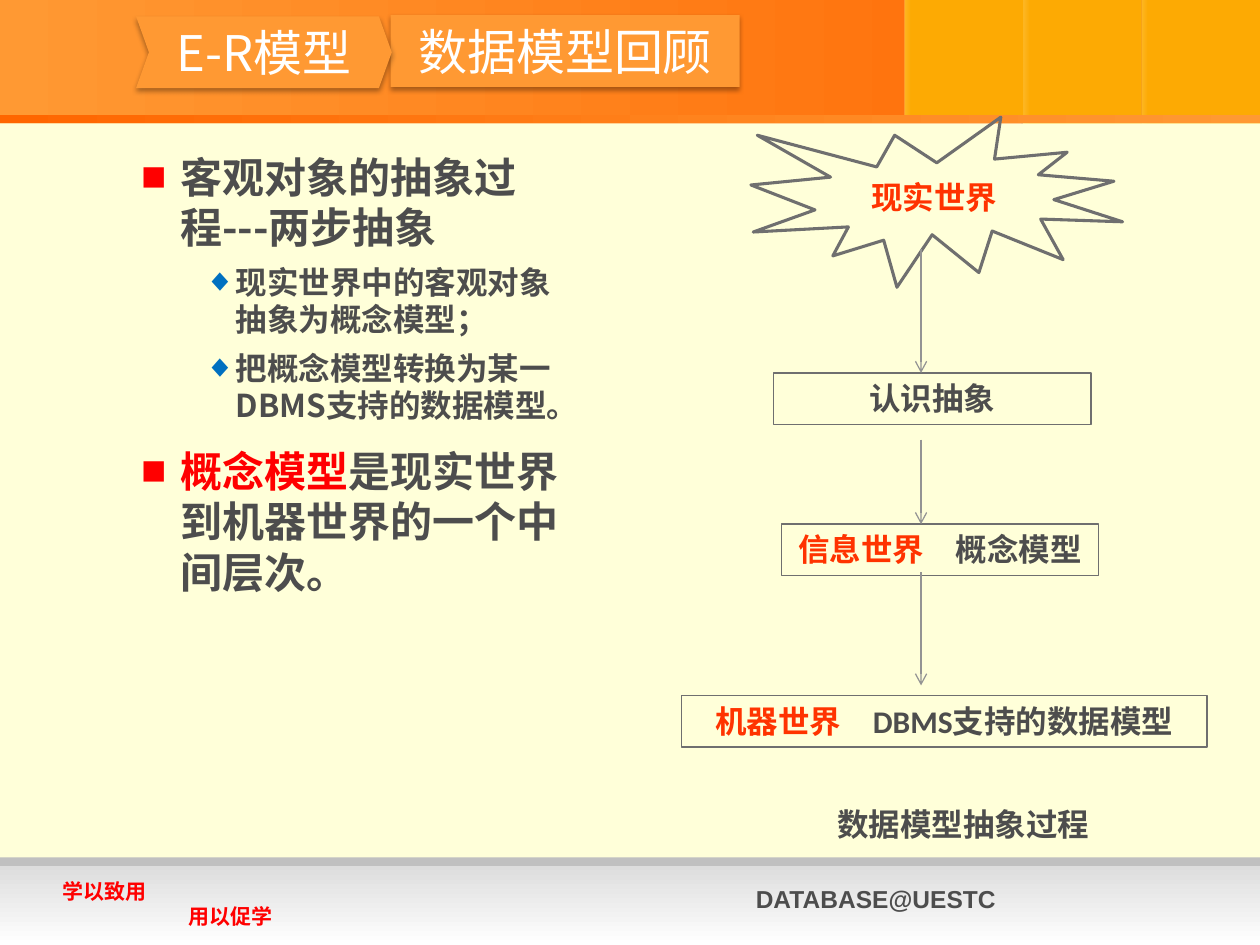
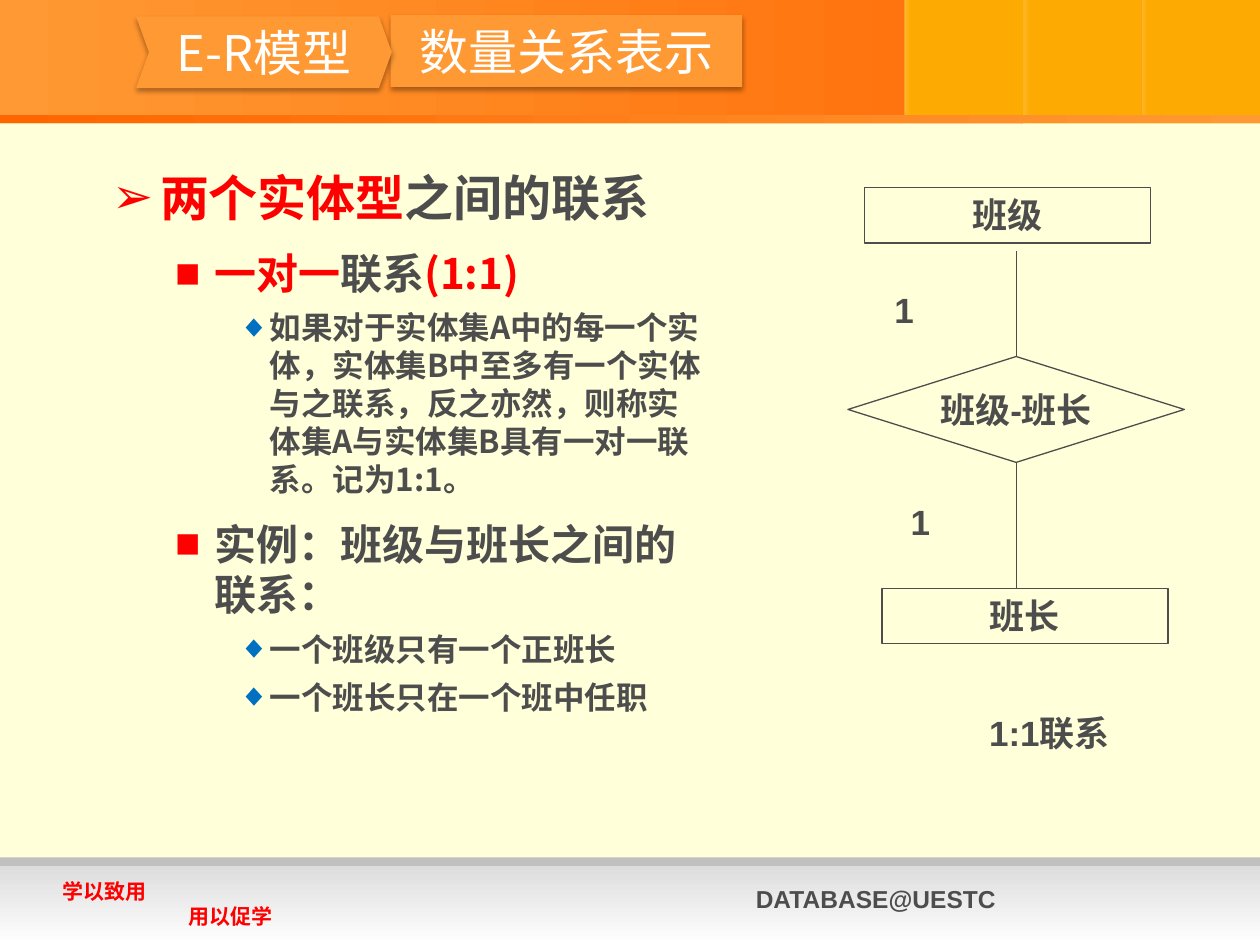
from dataclasses import dataclass
from typing import NamedTuple, Optional

from lxml.etree import SubElement
from pptx import Presentation
from pptx.dml.color import RGBColor
from pptx.enum.shapes import MSO_CONNECTOR, MSO_SHAPE as Shape
from pptx.enum.text import MSO_ANCHOR as Anchor, MSO_AUTO_SIZE, PP_ALIGN as Align
from pptx.oxml import parse_xml
from pptx.oxml.ns import nsdecls, qn
from pptx.util import Inches, Pt

COLORS = {
    "page": "FFFFD9", "orange": "FF9933", "deep": "FF6600", "gold": "FDAA03",
    "rust": "D25500", "brown": "612700", "silver": "C0C0C0", "mist": "DDDDDD",
    "white": "FFFFFF", "text": "4D4D4D", "red": "FF0000", "flame": "FF3300",
    "blue": "0070C0", "outline": "6F6F6F", "arrow": "939393",
}
NOTO = "Noto Sans CJK SC"
COLUMNS, ROWS = 100, 75  # the slide is a grid of square cells
CELL = Inches(10) // COLUMNS


class Area(NamedTuple):
    """Left, top, width and height in grid cells."""
    left: float
    top: float
    width: float
    height: float

    def lengths(self) -> list[int]:
        return [round(cells * CELL) for cells in self]


class Span(NamedTuple):
    text: str
    color: Optional[str] = None


class Stop(NamedTuple):
    color: str
    alpha: int = 100


class Bullet(NamedTuple):
    mark: str
    color: str
    margin: float
    hanging: float
    size: int
    before: int


class Item(NamedTuple):
    level: int
    spans: list[Span]


@dataclass(frozen=True)
class Style:
    size: int
    font: str = NOTO
    color: str = "text"
    bold: bool = True
    align: Align = Align.CENTER


BULLETS = [
    Bullet("➢", "red", 0.38, 0.38, 28, 12),
    Bullet("■", "red", 0.81, 0.31, 24, 12),
    Bullet("◆", "blue", 1.25, 0.25, 18, 6),
]
TITLE = Style(28, color="white", bold=False)
STAGE = Style(18, "Calibri")
ENTITY = Style(20, "Arial")
COUNT = Style(20, "Arial", align=Align.LEFT)
FOOTER = Style(14, "Arial", align=Align.LEFT)
MOTTO = Style(12, "Arial", "red", align=Align.LEFT)


def rgb(name: str) -> RGBColor:
    return RGBColor.from_string(COLORS[name])


# Text
def write(para, spans: list[Span], style: Style) -> None:
    para.alignment = style.align
    font = para.font
    font.size, font.bold = Pt(style.size), style.bold
    font.color.rgb = rgb(style.color)
    font.name = style.font
    SubElement(font._element, qn("a:ea"), typeface=NOTO)
    for span in spans:
        run = para.add_run()
        run.text = span.text
        if span.color:
            run.font.color.rgb = rgb(span.color)


def write_box(box, spans: list[Span], style: Style,
              anchor: Anchor = Anchor.TOP, wrap: bool = True) -> None:
    frame = box.text_frame
    frame.word_wrap, frame.vertical_anchor = wrap, anchor
    write(frame.paragraphs[0], spans, style)


def add_label(slide, area: Area, text: str, style: Style):
    box = slide.shapes.add_textbox(*area.lengths())
    write_box(box, [Span(text)], style)
    return box


def fill_body(slide, area: Area, items: list[Item]) -> None:
    body = slide.placeholders[1]
    body.left, body.top, body.width, body.height = area.lengths()
    frame = body.text_frame
    frame.auto_size = MSO_AUTO_SIZE.NONE
    for number, item in enumerate(items):
        para = frame.add_paragraph() if number else frame.paragraphs[0]
        bullet = BULLETS[item.level]
        para.level = item.level
        props = para._p.get_or_add_pPr()
        props.set("marL", str(Inches(bullet.margin)))
        props.set("indent", str(-Inches(bullet.hanging)))
        tint = SubElement(props, qn("a:buClr"))
        SubElement(tint, qn("a:srgbClr"), val=COLORS[bullet.color])
        SubElement(props, qn("a:buChar"), char=bullet.mark)
        para.space_before = Pt(bullet.before if number else 0)
        write(para, item.spans, Style(bullet.size, align=Align.LEFT))


# Shapes and lines
def add_shape(slide, kind: Shape, area: Area, fill: Optional[str] = None,
              line: Optional[str] = None, weight: float = 0.75):
    shape = slide.shapes.add_shape(kind, *area.lengths())
    shape.shadow.inherit = False
    if fill:
        shape.fill.solid()
        shape.fill.fore_color.rgb = rgb(fill)
    else:
        shape.fill.background()
    if line:
        shape.line.color.rgb = rgb(line)
        shape.line.width = Pt(weight)
    else:
        shape.line.fill.background()
    return shape


def add_gradient(slide, area: Area, first: Stop, last: Stop, angle: int = 0) -> None:
    shape = add_shape(slide, Shape.RECTANGLE, area)
    stops = "".join(
        f'<a:gs pos="{place}"><a:srgbClr val="{COLORS[stop.color]}">'
        f'<a:alpha val="{stop.alpha * 1000}"/></a:srgbClr></a:gs>'
        for place, stop in ((0, first), (100000, last)))
    props = shape._element.spPr
    props.replace(props.find(qn("a:noFill")), parse_xml(
        f'<a:gradFill {nsdecls("a")} rotWithShape="1"><a:gsLst>{stops}</a:gsLst>'
        f'<a:lin ang="{angle * 60000}" scaled="0"/></a:gradFill>'))


def add_line(slide, start: tuple, end: tuple, color: str, arrow: bool = False):
    points = [round(cells * CELL) for cells in (*start, *end)]
    line = slide.shapes.add_connector(MSO_CONNECTOR.STRAIGHT, *points)
    line.line.color.rgb = rgb(color)
    line.line.width = Pt(0.75)
    if arrow:
        SubElement(line.line._get_or_add_ln(), qn("a:tailEnd"), type="arrow")
    SubElement(line._element.spPr, qn("a:effectLst"))
    return line


# Title chevrons
def add_shadow(shape) -> None:
    props = shape._element.spPr
    for effects in props.findall(qn("a:effectLst")):
        props.remove(effects)
    props.append(parse_xml(
        f'<a:effectLst {nsdecls("a")}><a:outerShdw blurRad="{Pt(3.1)}" dist="{Pt(1.8)}" '
        'dir="5400000" rotWithShape="0"><a:srgbClr val="000000"><a:alpha val="35000"/>'
        '</a:srgbClr></a:outerShdw></a:effectLst>'))


def add_titles(slide, topic: str, width: float) -> None:
    chapter = add_shape(slide, Shape.CHEVRON, Area(10.8, 1.3, 20.3, 5.7), "orange")
    chapter.adjustments[0] = 0.18
    title = slide.shapes.title
    title.left, title.top, title.width, title.height = Area(31, 1.2, width, 5.7).lengths()
    title._element.spPr.insert(1, parse_xml(
        f'<a:prstGeom {nsdecls("a")} prst="chevron"><a:avLst>'
        '<a:gd name="adj" fmla="val 18000"/></a:avLst></a:prstGeom>'))
    title.fill.solid()
    title.fill.fore_color.rgb = rgb("orange")
    title.text_frame.auto_size = MSO_AUTO_SIZE.NONE
    for shape, text in ((chapter, "E-R模型"), (title, topic)):
        add_shadow(shape)
        write_box(shape, [Span(text)], TITLE, Anchor.MIDDLE, wrap=False)


# Bands and footer, drawn once and moved to the master
def build_master(deck, slide) -> None:
    master = deck.slide_master
    master.background.fill.solid()
    master.background.fill.fore_color.rgb = rgb("page")
    drawn_before = len(slide.shapes)

    add_gradient(slide, Area(0, 0, COLUMNS, 9.9), Stop("orange"), Stop("deep"))
    for number in range(3):
        left, height = 90.6 - 9.4 * number, 9.2 if number == 2 else 9.9
        if number < 2:
            add_gradient(slide, Area(left - 0.1, 0, 9.4, height),
                         Stop("rust", 80), Stop("brown", 0))
        add_shape(slide, Shape.RECTANGLE, Area(left, 0, 9.4, height), "gold")
        add_gradient(slide, Area(left, 0, 0.5, height), Stop("page", 18), Stop("gold", 15))
    add_shape(slide, Shape.RECTANGLE, Area(0, 68.05, COLUMNS, 2.9), "silver")
    add_gradient(slide, Area(0, 68.7, COLUMNS, 6.3), Stop("mist"), Stop("white"), 90)
    add_gradient(slide, Area(0, 9.1, COLUMNS, 0.7), Stop("deep"), Stop("orange"))
    add_shape(slide, Shape.RECTANGLE, Area(0, 9.8, COLUMNS, 6.1), "page")

    add_label(slide, Area(59, 69.7, 34.5, 3.4), "DATABASE@UESTC", FOOTER)
    motto = add_label(slide, Area(4, 69.2, 20, 5), "学以致用", MOTTO)
    second = motto.text_frame.add_paragraph()
    second._p.get_or_add_pPr().set("marL", str(Inches(1)))
    write(second, [Span("用以促学")], MOTTO)

    for shape in list(slide.shapes)[drawn_before:]:
        master.shapes.element.append(shape._element)


def build_review(slide) -> None:
    add_titles(slide, "数据模型回顾", 27.7)
    fill_body(slide, Area(5.2, 11.5, 40.2, 56), [
        Item(1, [Span("客观对象的抽象过程---两步抽象")]),
        Item(2, [Span("现实世界中的客观对象抽象为概念模型；")]),
        Item(2, [Span("把概念模型转换为某一DBMS支持的数据模型。")]),
        Item(1, [Span("概念模型", "red"), Span("是现实世界到机器世界的一个中间层次。")]),
    ])
    # Abstraction steps from the real world to the machine
    world = add_shape(slide, Shape.EXPLOSION1, Area(59.6, 9.3, 29.5, 13.5),
                      line="outline", weight=1.75)
    write_box(world, [Span("现实世界", "flame")], STAGE, Anchor.MIDDLE)
    stages = [
        (Area(61.4, 29.6, 25.2, 4.1), [Span("认识抽象")]),
        (Area(62, 41.6, 25.2, 4.1), [Span("信息世界", "flame"), Span("　概念模型")]),
        (Area(54.1, 55.2, 41.7, 4.1), [Span("机器世界　", "flame"), Span("DBMS支持的数据模型")]),
    ]
    for area, spans in stages:
        write_box(add_shape(slide, Shape.RECTANGLE, area, "page", "outline"), spans, STAGE)
    for start, end in ((19.8, 29.6), (34.9, 41.6), (45.4, 54.4)):
        add_line(slide, (73.1, start), (73.1, end), "arrow", arrow=True)
    add_label(slide, Area(60.8, 63.4, 31.3, 4), "数据模型抽象过程", STAGE)


def build_cardinality(slide) -> None:
    add_titles(slide, "数量关系表示", 27.9)
    fill_body(slide, Area(7.9, 12.8, 49.3, 51.2), [
        Item(0, [Span("两个实体型", "red"), Span("之间的联系")]),
        Item(1, [Span("一对一", "red"), Span("联系"), Span("(1:1)", "red")]),
        Item(2, [Span("如果对于实体集A中的每一个实体，实体集B中至多有一个实体与之联系，"
                      "反之亦然，则称实体集A与实体集B具有一对一联系。记为1:1。")]),
        Item(1, [Span("实例：班级与班长之间的联系：")]),
        Item(2, [Span("一个班级只有一个正班长")]),
        Item(2, [Span("一个班长只在一个班中任职")]),
    ])
    # Entities and their relationship
    for text, left, top in (("班级", 68.6, 14.9), ("班长", 70, 46.7)):
        entity = add_shape(slide, Shape.RECTANGLE, Area(left, top, 22.7, 4.4), line="text")
        write_box(entity, [Span(text)], ENTITY)
    relation = add_shape(slide, Shape.DIAMOND, Area(67.3, 28.3, 26.7, 8.4), line="text")
    write_box(relation, [Span("班级-班长")], ENTITY, Anchor.MIDDLE, wrap=False)
    for side, start, end in ((0, 28.3, 19.9), (2, 36.7, 46.7)):
        line = add_line(slide, (80.65, start), (80.65, end), "text")
        line.begin_connect(relation, side)
    for left, top in ((70, 22.4), (71.3, 39.2)):
        add_label(slide, Area(left, top, 6.7, 4.4), "1", COUNT)
    add_label(slide, Area(71.3, 56, 24, 4.4), "1:1联系", ENTITY)


def main() -> None:
    deck = Presentation()
    deck.slide_width, deck.slide_height = COLUMNS * CELL, ROWS * CELL
    pages = [deck.slides.add_slide(deck.slide_layouts[1]) for _ in range(2)]
    build_master(deck, pages[0])
    build_review(pages[0])
    build_cardinality(pages[1])
    deck.save("out.pptx")


if __name__ == "__main__":
    main()
